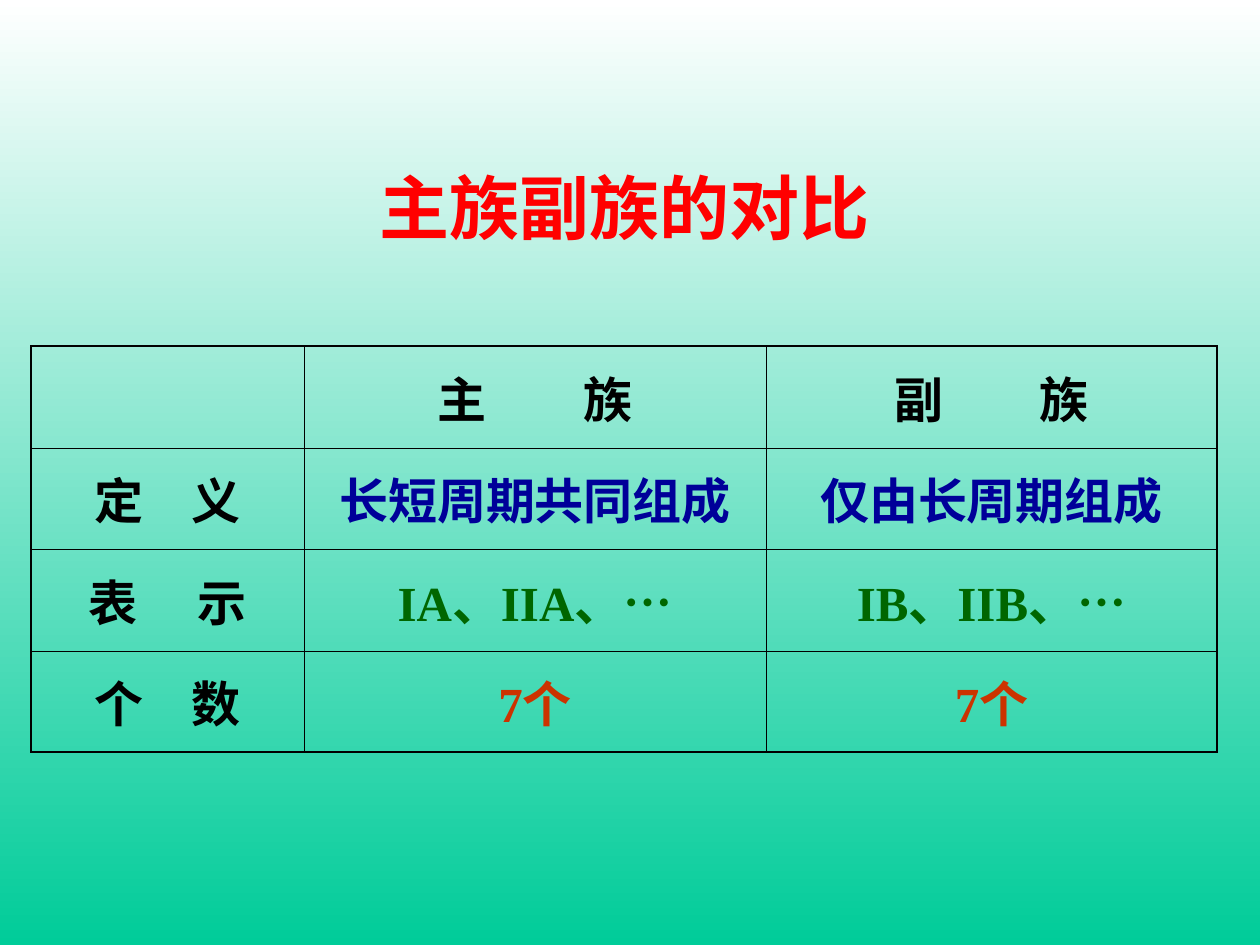
"""Build a slide comparing main groups and subgroups of the periodic table."""
from dataclasses import dataclass

from lxml import etree
from pptx import Presentation
from pptx.dml.color import RGBColor
from pptx.enum.text import MSO_ANCHOR, PP_ALIGN
from pptx.oxml.ns import qn
from pptx.util import Pt

CENTER = PP_ALIGN.CENTER
MIDDLE = MSO_ANCHOR.MIDDLE
EMU_PER_PX = 914400 / 126
FONT = "Times New Roman"
THIN, THICK = 0.45, 1.08
COLORS = {
    "top": "FFFFFF",
    "bottom": "00CC99",
    "title": "FF0000",
    "label": "000000",
    "definition": "000099",
    "notation": "006600",
    "count": "CC3300",
    "border": "000000",
}


@dataclass(frozen=True)
class Entry:
    text: str
    color: str = "label"
    spread: float = 0


COLS = (273, 462, 451)
ROWS = (102, 101, 102, 101)
ENTRIES = (
    (Entry(""), Entry("主 族", spread=24.5), Entry("副 族", spread=24.5)),
    (Entry("定 义", spread=10.5), Entry("长短周期共同组成", "definition"),
     Entry("仅由长周期组成", "definition")),
    (Entry("表 示", spread=14), Entry("IA、IIA、…", "notation"),
     Entry("IB、IIB、…", "notation")),
    (Entry("个 数", spread=10.5), Entry("7个", "count"), Entry("7个", "count")),
)


def px(n: int) -> int:
    return round(n * EMU_PER_PX)


def rgb(name: str) -> RGBColor:
    return RGBColor.from_string(COLORS[name])


def write(tf, entry: Entry, size: int) -> None:
    p = tf.paragraphs[0]
    p.alignment = CENTER
    p.font.name, p.font.size, p.font.bold = FONT, Pt(size), True
    p.font.color.rgb = rgb(entry.color)
    if entry.spread:
        r = p.add_run()
        r.text = entry.text[:-1]
        r.font._element.set("spc", str(round(entry.spread * 100)))
        p.add_run().text = entry.text[-1]
    elif entry.text:
        p.add_run().text = entry.text


def set_borders(cell, widths: dict[str, float]) -> None:
    tc_pr = cell._tc.get_or_add_tcPr()
    for i, (side, width) in enumerate(widths.items()):
        ln = etree.Element(qn(f"a:ln{side}"), w=str(Pt(width)))
        fill = etree.SubElement(ln, qn("a:solidFill"))
        etree.SubElement(fill, qn("a:srgbClr"), val=COLORS["border"])
        tc_pr.insert(i, ln)


def add_title(s, text: str) -> None:
    tf = s.shapes.add_textbox(px(199), px(158), px(851), px(97)).text_frame
    tf.word_wrap = True
    write(tf, Entry(text, "title"), 40)


def add_comparison(s) -> None:
    table = s.shapes.add_table(len(ROWS), len(COLS), px(31), px(346),
                               px(sum(COLS)), px(sum(ROWS))).table
    table.first_row = table.horz_banding = False
    for col, width in zip(table.columns, COLS):
        col.width = px(width)
    for row, height in zip(table.rows, ROWS):
        row.height = px(height)
    last_row, last_col = len(ROWS) - 1, len(COLS) - 1
    for i, entries in enumerate(ENTRIES):
        for j, entry in enumerate(entries):
            cell = table.cell(i, j)
            cell.fill.background()
            cell.vertical_anchor = MIDDLE
            write(cell.text_frame, entry, 28)
            outer = {"L": j == 0, "R": j == last_col, "T": i == 0, "B": i == last_row}
            set_borders(cell, {k: THICK if v else THIN for k, v in outer.items()})


def main() -> None:
    prs = Presentation()
    prs.slide_width, prs.slide_height = px(1260), px(945)
    s = prs.slides.add_slide(prs.slide_layouts[6])
    fill = s.background.fill
    fill.gradient()
    fill.gradient_angle = 270
    for stop, name in zip(fill.gradient_stops, ("top", "bottom")):
        stop.color.rgb = rgb(name)
    add_comparison(s)
    add_title(s, "主族副族的对比")
    prs.save("out.pptx")


if __name__ == "__main__":
    main()
